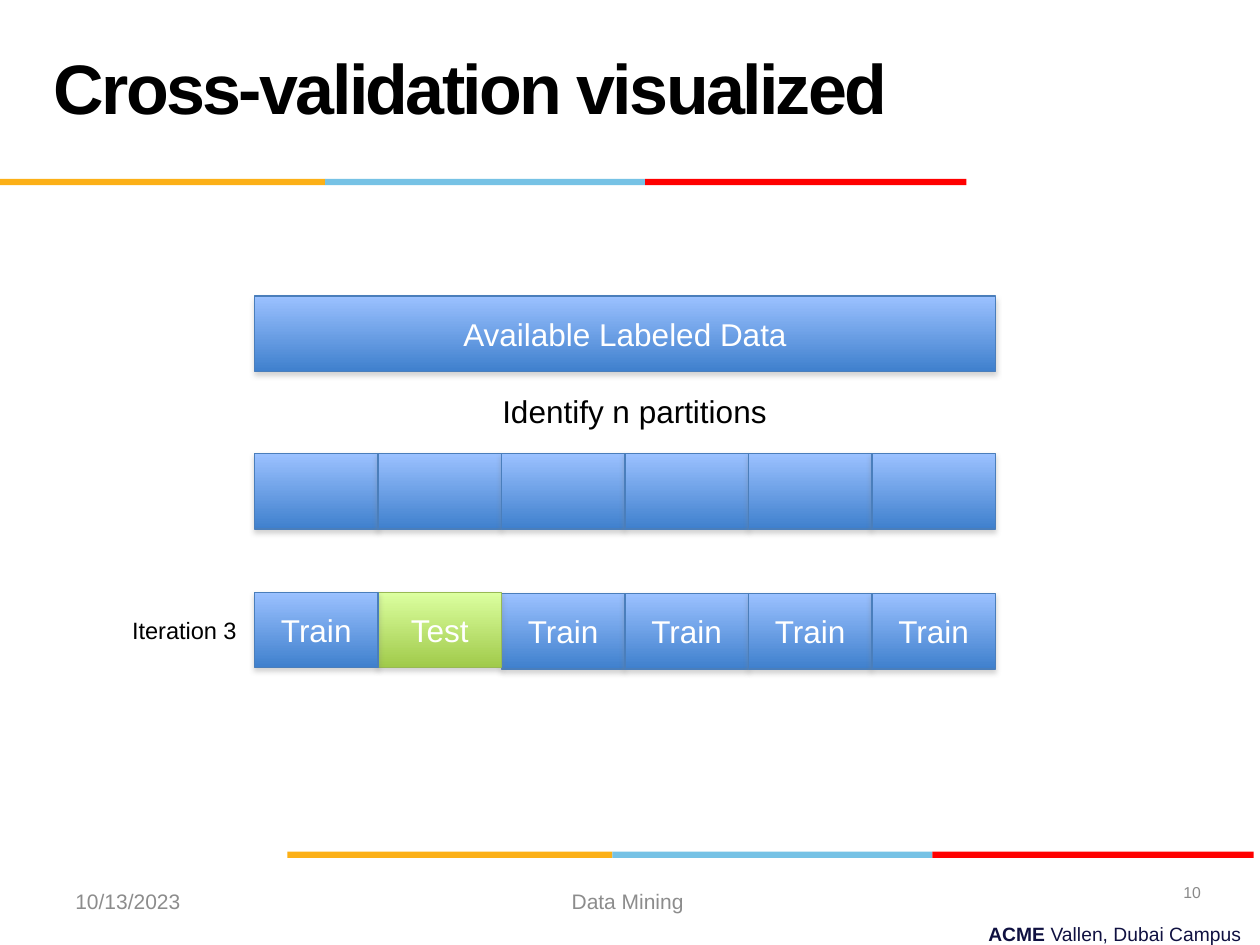
from lxml.etree import SubElement as Sub
from pptx import Presentation
from pptx.dml.color import RGBColor as RGB
from pptx.enum.shapes import MSO_SHAPE as Shape
from pptx.enum.text import MSO_ANCHOR as Anchor, PP_ALIGN as Align
from pptx.oxml.ns import qn
from pptx.util import Inches, Pt

HUES = {
    "black": "000000", "white": "FFFFFF", "navy": "101141",
    "gray": "8C8C8C", "pale": "898989", "shade": "808080",
    "gold": "FCB017", "sky": "76C2E5", "red": "FF0000",
    "blue top": "9BC1FF", "blue end": "3F80CD", "blue edge": "4A7EBB",
    "green top": "DCFFA0", "green end": "A0CA4A", "green edge": "98B954",
}
LEFT, CELL, HIGH, COUNT = 2.02, 0.98, 0.6, 6


def hue(name):
    return RGB.from_string(HUES[name])


def write(frame, runs, size, tint, align, anchor):
    frame.vertical_anchor = anchor
    para = frame.paragraphs[0]
    para.alignment = align
    for words, bold in runs:
        run = para.add_run()
        run.text = words
        font = run.font
        font.name, font.size, font.bold = "Arial", Pt(size), bold
        font.color.rgb = hue(tint)
    return para


def add_text(slide, box, runs, size, tint, align=Align.LEFT,
             anchor=Anchor.MIDDLE, wrap=True):
    frame = slide.shapes.add_textbox(*map(Inches, box)).text_frame
    frame.word_wrap = wrap
    return write(frame, runs, size, tint, align, anchor)


def add_rect(slide, box):
    rect = slide.shapes.add_shape(Shape.RECTANGLE, *map(Inches, box))
    rect.shadow.inherit = False
    return rect


def add_stripe(slide, left, top):
    for name, wide in (("gold", 2.58), ("sky", 2.54), ("red", 2.55)):
        bar = add_rect(slide, (left, top, wide, 0.05))
        bar.fill.solid()
        bar.fill.fore_color.rgb = hue(name)
        bar.line.fill.background()
        left += wide


def add_shade(rect):
    list_ = rect._element.spPr.find(qn("a:effectLst"))
    shade = Sub(list_, qn("a:outerShdw"), blurRad=str(Pt(3.1)),
                dist=str(Pt(1.8)), dir="5400000", rotWithShape="0")
    tint = Sub(shade, qn("a:srgbClr"), val=HUES["shade"])
    Sub(tint, qn("a:alpha"), val="35000")


def add_block(slide, col, top, span=1, label="", tone="blue"):
    rect = add_rect(slide, (LEFT + col * CELL, top, span * CELL, HIGH))
    rect.fill.gradient()
    rect.fill.gradient_angle = 270
    for stop, part in zip(rect.fill.gradient_stops, ("top", "end")):
        stop.color.rgb = hue(f"{tone} {part}")
    rect.line.color.rgb = hue(f"{tone} edge")
    rect.line.width = Pt(0.75)
    add_shade(rect)
    if label:
        write(rect.text_frame, [(label, False)], 18, "white",
              Align.CENTER, Anchor.MIDDLE)


def add_frame(slide):
    add_text(slide, (3.53, 7.27, 6.42, 0.29),
             [("ACME ", True), ("Vallen, Dubai Campus", False)],
             11, "navy", Align.RIGHT, Anchor.TOP)
    add_stripe(slide, 2.28, 6.76)
    add_stripe(slide, 0, 1.42)
    add_text(slide, (0.5, 6.95, 2.33, 0.4), [("10/13/2023", False)],
             12, "gray")
    add_text(slide, (3.42, 6.95, 3.17, 0.4), [("Data Mining ", False)],
             12, "gray", Align.CENTER)
    add_text(slide, (7.3, 6.88, 2.33, 0.4), [("10", False)],
             9, "pale", Align.RIGHT)
    title = add_text(slide, (0.33, 0.06, 9, 1.25),
                     [("Cross-validation visualized", True)], 40, "black")
    title.runs[0].font._element.set("spc", "-150")


def add_steps(slide):
    add_block(slide, 0, 2.35, COUNT, "Available Labeled Data")
    for col in range(COUNT):
        add_block(slide, col, 3.6)
    add_text(slide, (3.44, 3.06, 3.19, 0.4),
             [("Identify n partitions", False)], 18, "black",
             Align.CENTER, Anchor.TOP)
    for col in range(2, COUNT):
        add_block(slide, col, 4.71, label="Train")
    add_block(slide, 1, 4.7, label="Test", tone="green")
    add_block(slide, 0, 4.7, label="Train")
    add_text(slide, (0.95, 4.84, 1.04, 0.33), [("Iteration 3", False)],
             13.5, "black", anchor=Anchor.TOP, wrap=False)


def main():
    deck = Presentation()
    deck.slide_width, deck.slide_height = Inches(10), Inches(7.5)
    slide = deck.slides.add_slide(deck.slide_layouts[6])
    add_frame(slide)
    add_steps(slide)
    deck.save("out.pptx")


if __name__ == "__main__":
    main()
